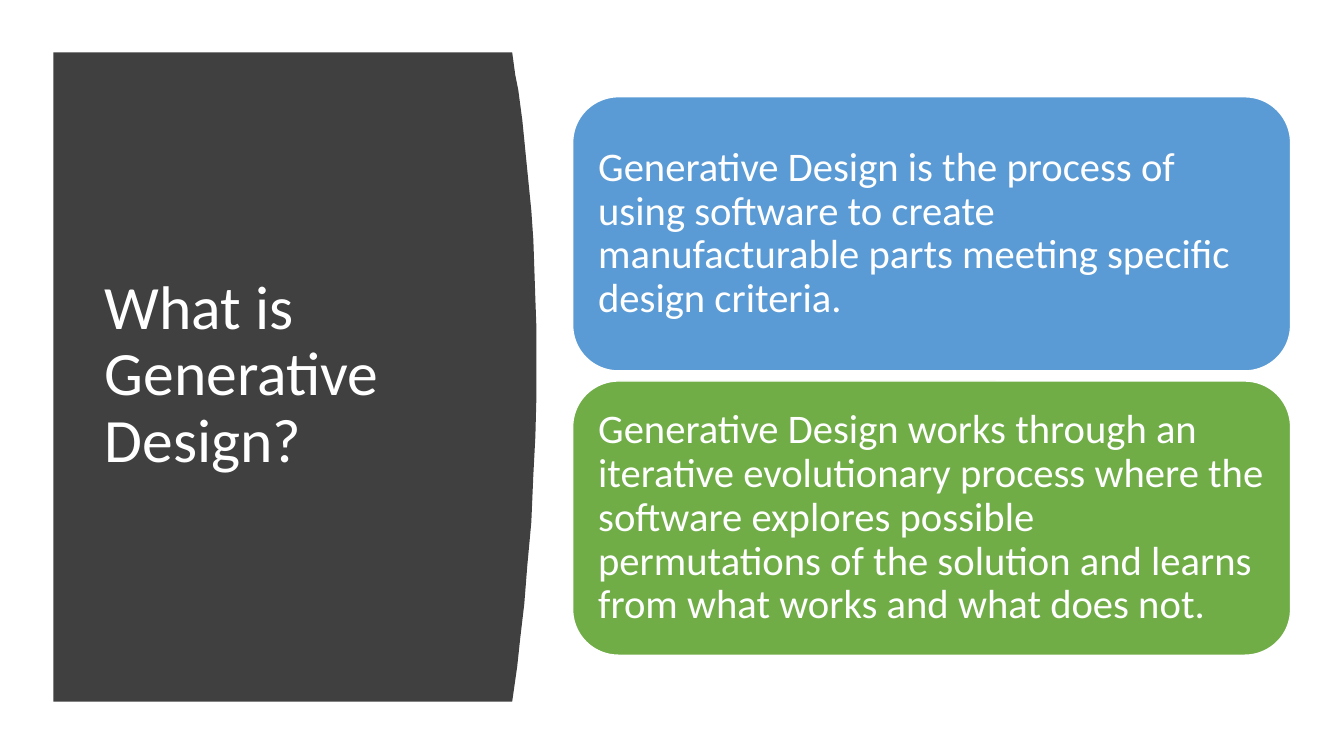
import pptx
import pptx.util
import pptx.dml.color
import pptx.enum.shapes
import pptx.enum.text
from pptx.util import Inches

# Content
TITLE = "What is Generative Design?"
CARDS = [
    ("Generative Design is the process of using software to create "
     "manufacturable parts meeting specific design criteria.", "blue"),
    ("Generative Design works through an iterative evolutionary process where "
     "the software explores possible permutations of the solution and learns "
     "from what works and what does not.", "green"),
]
COLORS = {"panel": "404040", "blue": "5B9BD5", "green": "70AD47", "white": "FFFFFF"}
FONT = "Calibri"

# Layout in inches
PANEL_LEFT = 0.53
PANEL_CURVE = [
    (5.08, 0.52), (5.11, 0.74), (5.14, 0.89), (5.18, 1.19), (5.21, 1.49),
    (5.24, 1.79), (5.27, 2.09), (5.29, 2.38), (5.30, 2.68), (5.31, 2.97),
    (5.32, 3.25), (5.32, 3.94), (5.31, 4.33), (5.29, 4.71), (5.27, 5.18),
    (5.23, 5.61), (5.20, 5.99), (5.16, 6.33), (5.13, 6.61), (5.08, 6.96),
]
TITLE_BOX = (0.94, 1.11, 3.74, 5.24)
CARD_LEFT, CARD_TOP, CARD_WIDTH, CARD_HEIGHT = 5.68, 0.96, 7.12, 2.72
CARD_PITCH = 2.82
CARD_INSET = 0.12


def rgb(name):
    return pptx.dml.color.RGBColor.from_string(COLORS[name])


def fill_shape(shape, color):
    shape.shadow.inherit = False
    shape.fill.solid()
    shape.fill.fore_color.rgb = rgb(color)


def write_text(shape, text, size):
    frame = shape.text_frame
    frame.text = text
    frame.word_wrap = True
    frame.vertical_anchor = pptx.enum.text.MSO_ANCHOR.MIDDLE
    paragraph = frame.paragraphs[0]
    paragraph.alignment = pptx.enum.text.PP_ALIGN.LEFT
    paragraph.line_spacing = 0.9
    font = paragraph.runs[0].font
    font.name = FONT
    font.size = pptx.util.Pt(size)
    font.color.rgb = rgb("white")
    return frame


presentation = pptx.Presentation()
presentation.slide_width = Inches(13.33)
presentation.slide_height = Inches(7.5)
slide = presentation.slides.add_slide(presentation.slide_layouts[6])

# Dark panel with a bowed right edge
outline = [(Inches(x), Inches(y)) for x, y in PANEL_CURVE]
panel_left = Inches(PANEL_LEFT)
builder = slide.shapes.build_freeform(panel_left, outline[0][1])
builder.add_line_segments(outline + [(panel_left, outline[-1][1])], close=True)
panel = builder.convert_to_shape()
fill_shape(panel, "panel")
panel.line.fill.background()

# Title
title = slide.shapes.add_textbox(*map(Inches, TITLE_BOX))
write_text(title, TITLE, 44)

# Definition cards
for index, (text, color) in enumerate(CARDS):
    card = slide.shapes.add_shape(
        pptx.enum.shapes.MSO_SHAPE.ROUNDED_RECTANGLE,
        Inches(CARD_LEFT), Inches(CARD_TOP + index * CARD_PITCH),
        Inches(CARD_WIDTH), Inches(CARD_HEIGHT))
    fill_shape(card, color)
    card.line.color.rgb = rgb("white")
    card.line.width = pptx.util.Pt(1)
    frame = write_text(card, text, 29)
    frame.margin_left = frame.margin_right = Inches(CARD_INSET)
    frame.margin_top = frame.margin_bottom = Inches(CARD_INSET)

presentation.save("out.pptx")
